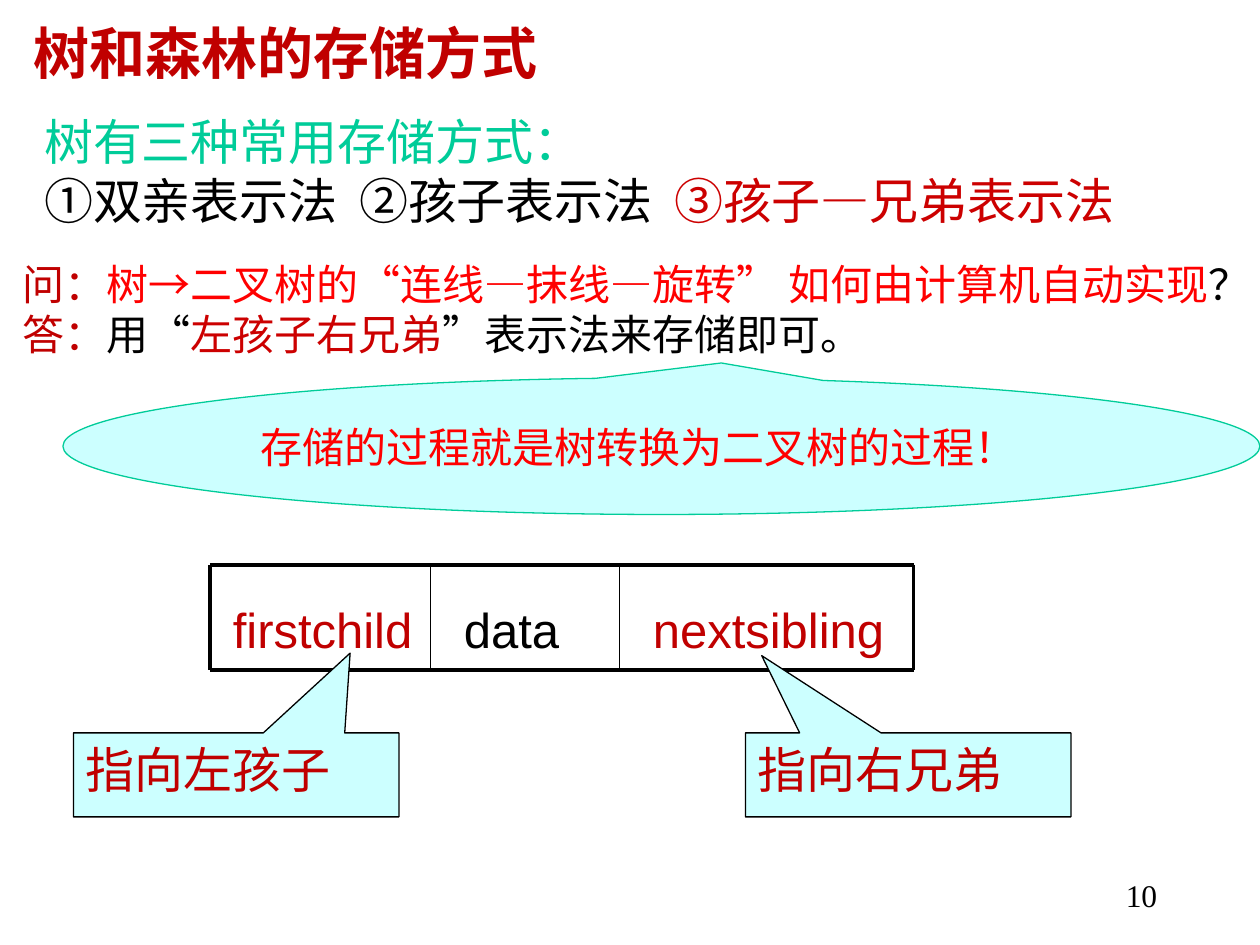
from lxml import etree
from pptx import Presentation
from pptx import util as u
from pptx.dml.color import RGBColor
from pptx.enum import lang, shapes, text
from pptx.oxml import ns

THEME = {
    "black": "000000", "brick": "C00000", "crimson": "CC0000", "red": "FF0000",
    "green": "00CC99", "aqua": "CCFFFF",
    "serif": "Times New Roman", "sans": "Arial", "cjk": "Noto Sans CJK SC",
    "title": 32, "large": 28, "medium": 24, "small": 18,
}
COLUMNS, ROWS = 120, 90

deck = Presentation()
deck.slide_width, deck.slide_height = u.Inches(10), u.Inches(7.5)
CELL_X, CELL_Y = deck.slide_width / COLUMNS, deck.slide_height / ROWS
page = deck.slides.add_slide(deck.slide_layouts[1])


def grid(column, row):
    """Turn grid columns and rows into slide lengths."""
    return u.Emu(round(column * CELL_X)), u.Emu(round(row * CELL_Y))


def write(box, lines, size, font, anchor="TOP", align="LEFT", tabs=(), hang=0):
    """Fill a box with lines, each a list of (words, colour[, font]) spans."""
    frame = box.text_frame
    settings = {
        "word_wrap": True, "auto_size": text.MSO_AUTO_SIZE.NONE,
        "vertical_anchor": text.MSO_ANCHOR[anchor],
        "margin_left": u.Inches(0.1), "margin_right": u.Inches(0.1),
        "margin_top": u.Inches(0.05), "margin_bottom": u.Inches(0.05),
    }
    for name, value in settings.items():
        setattr(frame, name, value)
    for index, spans in enumerate(lines):
        para = frame.add_paragraph() if index else frame.paragraphs[0]
        para.alignment = text.PP_ALIGN[align]
        para.space_before = u.Pt(0)
        props = para._p.get_or_add_pPr()
        props.set("marL", str(u.Inches(hang)))
        props.set("indent", str(-u.Inches(hang)))
        etree.SubElement(props, ns.qn("a:buNone"))
        if tabs:
            stops = etree.SubElement(props, ns.qn("a:tabLst"))
            for stop in tabs:
                etree.SubElement(stops, ns.qn("a:tab"), pos=str(u.Inches(stop)), algn="l")
        for words, colour, *other in spans:
            span = para.add_run()
            span.text = words
            look = {
                "size": u.Pt(THEME[size]), "bold": size == "title",
                "name": THEME[other[0] if other else font],
                "language_id": lang.MSO_LANGUAGE_ID.SIMPLIFIED_CHINESE,
            }
            for name, value in look.items():
                setattr(span.font, name, value)
            span.font.color.rgb = RGBColor.from_string(THEME[colour])
            etree.SubElement(span._r.get_or_add_rPr(), ns.qn("a:ea"), typeface=THEME["cjk"])


# Title and the three storage methods
title, methods = page.shapes.title, page.placeholders[1]
for box, place, size in ((title, (2, 1.2), (83, 7.5)), (methods, (3, 10), (112, 18))):
    box.left, box.top = grid(*place)
    box.width, box.height = grid(*size)
write(title, [[("树和森林的存储方式", "brick")]], "title", "serif")
write(methods, [
    [("树有三种常用存储方式：", "green")],
    [("①双亲表示法\t②孩子表示法\t", "black"), ("③孩子—兄弟表示法", "crimson")],
], "large", "serif", tabs=(2.77, 5.44))

# Node fields
for words, colour, column, width in (
    ("firstchild", "brick", 21, 20),
    ("data", "black", 43, 16),
    ("nextsibling", "brick", 61, 26),
):
    field = page.shapes.add_textbox(*grid(column, 56.5), *grid(width, 7))
    write(field, [[(words, colour)]], "large", "sans")

# Node frame: outer edges are thick, dividers thin
left, right, top, bottom = 20, 87, 53.8, 63.8
edges = [((left, row), (right, row), 2.25) for row in (top, bottom)]
edges += [((column, top), (column, bottom), weight)
          for column, weight in ((left, 2.25), (41, 1), (59, 1), (right, 2.25))]
for start, end, weight in edges:
    edge = page.shapes.add_connector(shapes.MSO_CONNECTOR.STRAIGHT, *grid(*start), *grid(*end))
    edge.line.width = u.Pt(weight)
    edge.line.color.rgb = RGBColor.from_string(THEME["black"])
    etree.SubElement(edge._element.spPr, ns.qn("a:effectLst"))

# Question and answer
question = page.shapes.add_textbox(*grid(1, 24), *grid(120.2, 10.8))
write(question, [
    [("问：", "brick"), ("树→二叉树的", "red"), ("“", "red", "serif"), ("连线", "red"),
     ("—", "red", "serif"), ("抹线", "red"), ("—", "red", "serif"), ("旋转", "red"),
     ("”", "red", "serif"), (" 如何由计算机自动实现", "red"), ("？", "black")],
    [("答：", "brick"), ("用", "black"), ("“", "black", "serif"), ("左孩子右兄弟", "crimson"),
     ("”", "black", "serif"), ("表示法来存储即可。", "black")],
], "medium", "cjk", hang=0.94)

# Callouts
RECTANGLE = shapes.MSO_SHAPE.RECTANGULAR_CALLOUT
ELLIPSE = shapes.MSO_SHAPE.OVAL_CALLOUT
for kind, place, extent, tip, words, colour, size, outline, anchor in (
    (RECTANGLE, (7, 69.8), (31, 8), (0.35, -1.45), "指向左孩子", "brick", "large", "black", "TOP"),
    (RECTANGLE, (71, 69.8), (31, 8), (-0.45, -1.42), "指向右兄弟", "brick", "large", "black", "TOP"),
    (ELLIPSE, (6, 36), (114, 13), (0.05, -0.61), "存储的过程就是树转换为二叉树的过程！",
     "red", "medium", "green", "MIDDLE"),
):
    callout = page.shapes.add_shape(kind, *grid(*place), *grid(*extent))
    callout.adjustments[0], callout.adjustments[1] = tip
    callout.shadow.inherit = False
    callout.fill.solid()
    callout.fill.fore_color.rgb = RGBColor.from_string(THEME["aqua"])
    callout.line.color.rgb = RGBColor.from_string(THEME[outline])
    callout.line.width = u.Pt(0.75)
    write(callout, [[(words, colour)]], size, "cjk", anchor,
          hang=0.08 if kind == ELLIPSE else 0)
    if kind == ELLIPSE:
        callout.text_frame.paragraphs[0]._p.pPr.set("indent", "0")

# Page number
number = page.shapes.add_textbox(*grid(86.4, 82.8), *grid(25, 6))
write(number, [[("10", "black")]], "small", "serif", align="RIGHT")

deck.save("out.pptx")
